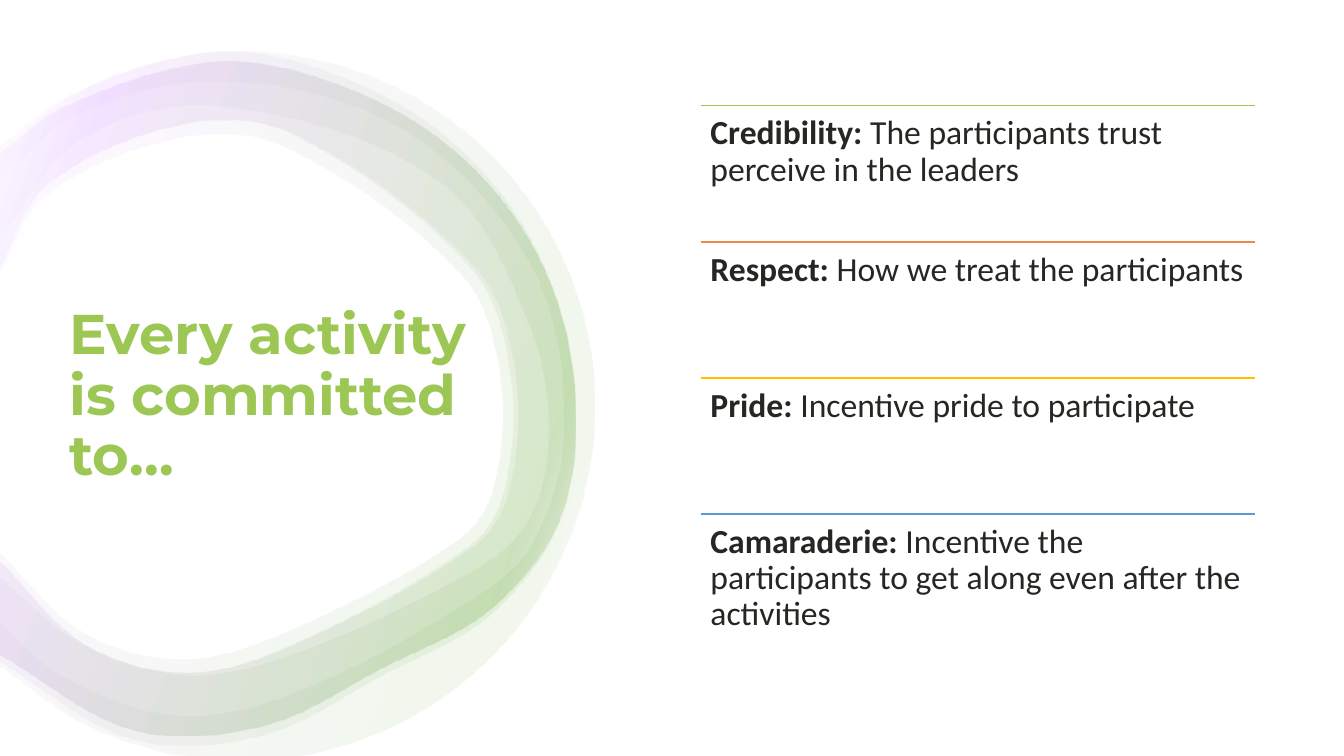
import math

import lxml.etree
import pptx
import pptx.dml.color
import pptx.enum.text
import pptx.oxml.ns
import pptx.util

# Content
TITLE = "Every activity is committed to…"
VALUES = [
    ("Credibility: ", "The participants trust perceive in the leaders", "9DC755"),
    ("Respect: ", "How we treat the participants", "F3864B"),
    ("Pride: ", "Incentive pride to participate", "FFC000"),
    ("Camaraderie: ", "Incentive the participants to get along even after the activities", "5B9BD5"),
]

# Ring edges: the outer one runs clockwise, the inner ones run back
OUTER = [(0, 110), (47, 76), (147, 45), (225, 55), (313, 99), (377, 171), (408, 262),
         (402, 363), (352, 433), (272, 477), (188, 518), (95, 521), (0, 467)]
INNER = [(0, 400), (62, 461), (135, 480), (210, 459), (334, 390), (359, 351),
         (364, 269), (336, 192), (208, 96), (130, 89), (34, 132), (0, 192)]
WIDE_INNER = [(0, 412), (56, 458), (130, 482), (204, 469), (324, 415), (372, 379),
              (391, 320), (379, 236), (314, 130), (158, 76), (59, 99), (0, 170)]
ROUND_INNER = [(0, 445), (43, 482), (125, 511), (209, 495), (332, 431), (380, 388),
               (403, 301), (379, 189), (287, 92), (158, 58), (51, 84), (0, 130)]
CIRCLE_X, CIRCLE_Y, CIRCLE_R = 172, 290, 253
MIDDLE_Y = 285

THEME = {
    "title": ("Montserrat", 40, "9DC755"),
    "body": ("Calibri", 24, "262722"),
    "background": "FFFFFF",
    "ring_stops": [(2, "FFFFFF"), (16, "70AD47"), (85, "E0AFFF"), (100, "FFFFFF")],
    "ring_alpha": 10,
    "ring_angle": 160,
}
SLIDE_W, SLIDE_H = 960, 540
LIST_X, LIST_Y, LIST_W, ROW_H = 500.4, 75.6, 396, 97.2
CURVE_STEPS = 8
Pt = pptx.util.Pt
qn = pptx.oxml.ns.qn


def rgb(value):
    return pptx.dml.color.RGBColor.from_string(value)


def set_font(p, style):
    name, size, color = THEME[style]
    p.font.name, p.font.size = name, Pt(size)
    p.font.color.rgb = rgb(color)
    p.line_spacing = 0.9


def scaled(points, sx, sy):
    return [(x * sx, MIDDLE_Y + (y - MIDDLE_Y) * sy) for x, y in points]


def circle_edge():
    """The part of the circle to the right of the slide's left edge."""
    end = math.acos(-CIRCLE_X / CIRCLE_R)
    angles = [end * (i / CURVE_STEPS - 1) for i in range(2 * CURVE_STEPS + 1)]
    return [(CIRCLE_X + CIRCLE_R * math.cos(a), CIRCLE_Y + CIRCLE_R * math.sin(a))
            for a in angles]


def smooth(points):
    """Sample a smooth curve through the points, kept within the slide."""
    last = len(points) - 1
    directions = []
    for i in range(last + 1):
        (x0, y0), (x1, y1) = points[max(i - 1, 0)], points[min(i + 1, last)]
        d = math.hypot(x1 - x0, y1 - y0)
        directions.append(((x1 - x0) / d, (y1 - y0) / d))
    curve = [points[0]]
    for i in range(last):
        a, b = points[i], points[i + 1]
        reach = math.dist(a, b) / 3
        for step in range(1, CURVE_STEPS + 1):
            t = step / CURVE_STEPS
            u = 1 - t
            x, y = (
                u ** 3 * a[k] + 3 * u * u * t * (a[k] + reach * directions[i][k])
                + 3 * u * t * t * (b[k] - reach * directions[i + 1][k]) + t ** 3 * b[k]
                for k in (0, 1))
            curve.append((max(x, 0), min(y, SLIDE_H)))
    return curve


def add_ring(shapes, outer, inner):
    outline = [(Pt(x), Pt(y)) for x, y in smooth(outer) + smooth(inner)]
    builder = shapes.build_freeform(*outline[0])
    builder.add_line_segments(outline[1:], close=True)
    sp = builder.convert_to_shape()
    sp.shadow.inherit = False
    sp.line.fill.background()
    sp.fill.gradient()
    sp.fill.gradient_angle = THEME["ring_angle"]
    stops = sp._element.spPr.find(qn("a:gradFill")).find(qn("a:gsLst"))
    for stop in list(stops):
        stops.remove(stop)
    for position, color in THEME["ring_stops"]:
        gs = lxml.etree.SubElement(stops, qn("a:gs"), pos=str(position * 1000))
        clr = lxml.etree.SubElement(gs, qn("a:srgbClr"), val=color)
        lxml.etree.SubElement(clr, qn("a:alpha"), val=str(THEME["ring_alpha"] * 1000))


def add_value(shapes, y, label, text, color):
    line = shapes.add_connector(1, Pt(LIST_X), Pt(y), Pt(LIST_X + LIST_W), Pt(y))
    line.line.color.rgb = rgb(color)
    line.line.width = Pt(1)
    lxml.etree.SubElement(line._element.spPr, qn("a:effectLst"))

    tf = shapes.add_textbox(Pt(LIST_X), Pt(y), Pt(LIST_W), Pt(ROW_H)).text_frame
    tf.word_wrap = True
    tf.margin_left = tf.margin_right = tf.margin_top = tf.margin_bottom = Pt(7.2)
    p = tf.paragraphs[0]
    set_font(p, "body")
    for part, bold in ((label, True), (text, False)):
        r = p.add_run()
        r.text = part
        r.font.bold = bold


def main():
    prs = pptx.Presentation()
    prs.slide_width, prs.slide_height = Pt(SLIDE_W), Pt(SLIDE_H)
    s = prs.slides.add_slide(prs.slide_layouts[5])
    s.background.fill.solid()
    s.background.fill.fore_color.rgb = rgb(THEME["background"])

    # Rings
    rings = [
        (scaled(OUTER, 1, 1.03), WIDE_INNER),
        (OUTER, INNER),
        (OUTER, scaled(INNER, 0.98, 0.95)),
        (OUTER, scaled(INNER, 1.01, 1)),
        (circle_edge(), ROUND_INNER),
    ]
    for outer, inner in rings:
        add_ring(s.shapes, outer, inner)

    # Title, in front of the rings
    title = s.shapes.title
    s.shapes._spTree.append(title._element)
    title.left, title.top = Pt(42.5), Pt(172.8)
    title.width, title.height = Pt(305.3), Pt(221.8)
    tf = title.text_frame
    tf.text = TITLE
    tf.word_wrap = True
    tf.auto_size = pptx.enum.text.MSO_AUTO_SIZE.NONE
    tf.vertical_anchor = pptx.enum.text.MSO_ANCHOR.MIDDLE
    p = tf.paragraphs[0]
    p.alignment = pptx.enum.text.PP_ALIGN.LEFT
    set_font(p, "title")
    p.font.bold = True

    # Values, one row each under a coloured rule
    for row, value in enumerate(VALUES):
        add_value(s.shapes, LIST_Y + row * ROW_H, *value)

    prs.save("out.pptx")


if __name__ == "__main__":
    main()
